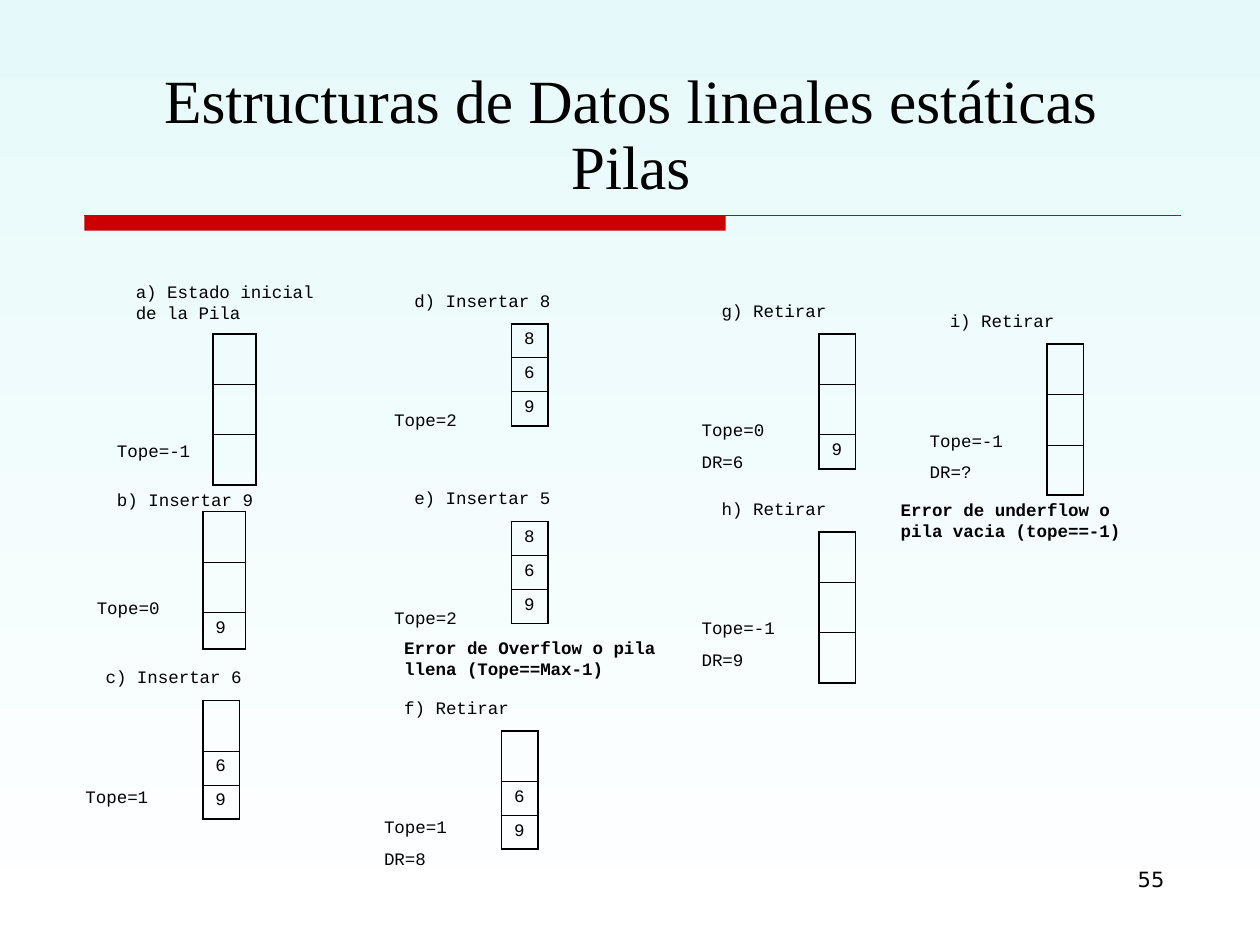
from pptx import Presentation
from pptx.dml.color import RGBColor
from pptx.enum.shapes import MSO_CONNECTOR, MSO_SHAPE
from pptx.enum.text import MSO_ANCHOR, MSO_AUTO_SIZE, PP_ALIGN
from pptx.oxml import parse_xml
from pptx.oxml.ns import nsdecls
from pptx.util import Inches, Pt
from lxml.etree import SubElement

COLORS = {"sky": "E6F9FA", "white": "FFFFFF", "red": "CC0000", "black": "000000"}
CODE_FONT = "Courier New"
TITLE = "Estructuras de Datos lineales estáticas\vPilas"
PAGE_NUMBER = "55"

LABEL_OFFSET = (-0.87, -0.32)
STATE_OFFSET = (-1.03, 0.63)
STACKS = [
    {"label": "a) Estado inicial de la Pila", "state": "Tope=-1", "cells": ["", "", ""],
     "at": (1.69, 2.65), "cell": (0.34, 0.29), "label_width": 1.73, "state_width": 0.79,
     "label_offset": (-0.71, -0.47), "state_offset": (-0.86, 0.79), "label_height": 0.44},
    {"label": "b) Insertar 9", "state": "Tope=0", "cells": ["", "", "9"],
     "at": (1.61, 4.06), "cell": (0.34, 0.29), "label_width": 1.42, "state_width": 0.79,
     "label_offset": (-0.78, -0.23), "state_offset": (-0.94, 0.63)},
    {"label": "c) Insertar 6", "state": "Tope=1", "cells": ["", "6", "9"], "at": (1.61, 5.56)},
    {"label": "d) Insertar 8", "state": "Tope=2", "cells": ["8", "6", "9"], "at": (4.06, 2.57)},
    {"label": "e) Insertar 5", "state": "Tope=2", "cells": ["8", "6", "9"], "at": (4.06, 4.14)},
    {"label": "f) Retirar", "state": "Tope=1\nDR=8", "cells": ["", "6", "9"],
     "at": (3.98, 5.8), "label_width": 1.73},
    {"label": "g) Retirar", "state": "Tope=0\nDR=6", "cells": ["", "", "9"],
     "at": (6.5, 2.65), "label_width": 1.73},
    {"label": "h) Retirar", "state": "Tope=-1\nDR=9", "cells": ["", "", ""],
     "at": (6.5, 4.22), "label_width": 1.73, "state_width": 0.94},
    {"label": "i) Retirar", "state": "Tope=-1\nDR=?", "cells": ["", "", ""],
     "at": (8.31, 2.73), "label_width": 1.73, "state_width": 1.02},
]
ERRORS = [
    ("Error de Overflow o pila llena (Tope==Max-1)", (3.11, 5.01, 2.21, 0.44)),
    ("Error de underflow o pila vacia (tope==-1)", (7.05, 3.91, 2.2, 0.44)),
]


def color(name):
    return RGBColor.from_string(COLORS[name])


def format_text(frame, size=10, font=CODE_FONT, bold=False):
    for para in frame.paragraphs:
        for span in para.runs:
            span.font.size = Pt(size)
            span.font.name = font
            span.font.bold = bold
            span.font.color.rgb = color("black")


def add_text(page, text, area, **style):
    box = page.shapes.add_textbox(*map(Inches, area))
    frame = box.text_frame
    frame.word_wrap = True
    frame.text = text
    format_text(frame, **style)
    for para in frame.paragraphs[1:]:
        para.space_before = Pt(6.2)
    return frame


def set_borders(cell, top, bottom):
    properties = cell._tc.get_or_add_tcPr()
    sides = [("L", 1.08), ("R", 1.08), ("T", top), ("B", bottom)]
    for index, (side, width) in enumerate(sides):
        properties.insert(index, parse_xml(
            f'<a:ln{side} {nsdecls("a")} w="{Pt(width)}"><a:solidFill>'
            f'<a:srgbClr val="{COLORS["black"]}"/></a:solidFill></a:ln{side}>'))


def add_cells(page, values, at, cell_size):
    width, height = cell_size
    count = len(values)
    table = page.shapes.add_table(
        count, 1, *map(Inches, (*at, width, height * count))).table
    table.first_row = False
    table.horz_banding = False
    for index, value in enumerate(values):
        table.rows[index].height = Inches(height)
        cell = table.cell(index, 0)
        cell.margin_left = cell.margin_right = Inches(0.1)
        cell.margin_top = cell.margin_bottom = Inches(0.05)
        cell.fill.background()
        if value:
            cell.text_frame.text = value
            format_text(cell.text_frame)
        set_borders(cell, 0.45 if index else 1.08, 0.45 if index < count - 1 else 1.08)


def add_stack(page, stack):
    left, top = stack["at"]
    lines = stack["state"].count("\n") + 1
    parts = [
        ("label", LABEL_OFFSET, 1.34, stack.get("label_height", 0.27)),
        ("state", STATE_OFFSET, 0.76, 0.27 + 0.25 * (lines - 1)),
    ]
    for part, offset, width, height in parts:
        across, down = stack.get(part + "_offset", offset)
        area = (left + across, top + down, stack.get(part + "_width", width), height)
        add_text(page, stack[part], area)
    add_cells(page, stack["cells"], stack["at"], stack.get("cell", (0.29, 0.27)))


def set_background(page):
    fill = page.background.fill
    fill.gradient()
    fill.gradient_angle = 270
    for stop, name, position in zip(fill.gradient_stops, ("sky", "white"), (0, 1)):
        stop.color.rgb = color(name)
        stop.position = position


def add_divider(page):
    bar = page.shapes.add_shape(
        MSO_SHAPE.RECTANGLE, *map(Inches, (0.67, 1.71, 5.09, 0.12)))
    bar.shadow.inherit = False
    bar.fill.solid()
    bar.fill.fore_color.rgb = color("red")
    bar.line.fill.background()
    rule = page.shapes.add_connector(
        MSO_CONNECTOR.STRAIGHT, *map(Inches, (0.67, 1.71, 9.37, 1.71)))
    rule.line.color.rgb = color("red")
    rule.line.width = Pt(0.75)
    properties = rule._element.spPr
    SubElement(properties, properties.tag.replace(
        "presentationml", "drawingml").replace("spPr", "effectLst"))


def add_title(page):
    title = page.shapes.title
    title.left, title.top, title.width, title.height = map(
        Inches, (0.63, 0.33, 8.75, 1.33))
    frame = title.text_frame
    frame.text = TITLE
    frame.word_wrap = True
    frame.auto_size = MSO_AUTO_SIZE.NONE
    frame.vertical_anchor = MSO_ANCHOR.BOTTOM
    format_text(frame, 35.1, "Times New Roman")
    frame.paragraphs[0].alignment = PP_ALIGN.CENTER
    frame.paragraphs[0].line_spacing = 0.9


def main():
    """Build the slide on array stacks and save it."""
    deck = Presentation()
    deck.slide_width, deck.slide_height = Inches(10), Inches(7.5)
    page = deck.slides.add_slide(deck.slide_layouts[5])
    set_background(page)
    add_divider(page)
    add_title(page)
    number = add_text(page, PAGE_NUMBER, (7.17, 6.83, 2.17, 0.52),
                      size=12, font="DejaVu Sans")
    number.paragraphs[0].alignment = PP_ALIGN.RIGHT
    for stack in STACKS:
        add_stack(page, stack)
    for text, area in ERRORS:
        add_text(page, text, area, bold=True)
    deck.save("out.pptx")


if __name__ == "__main__":
    main()
